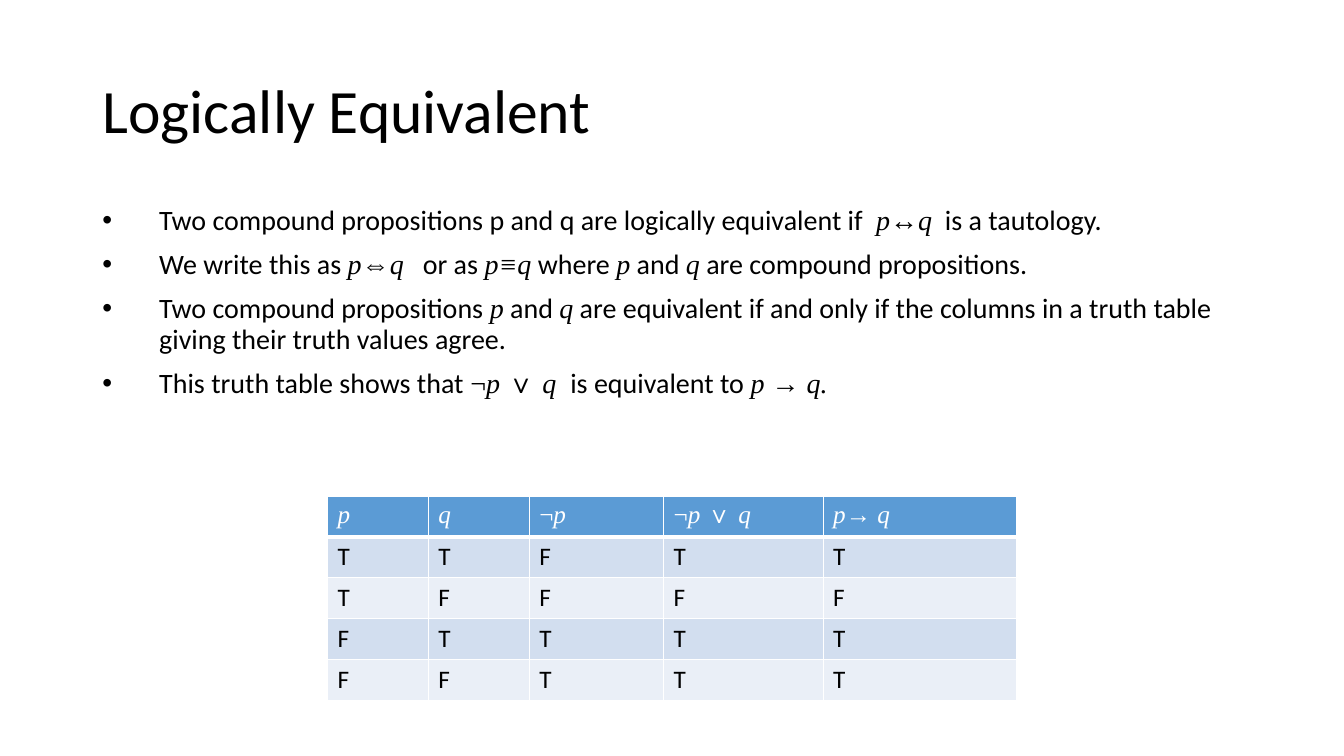
from lxml import etree
from pptx import Presentation
from pptx import util as u
from pptx.dml import color
from pptx.enum import text
from pptx.oxml import ns

PLAIN = ("Calibri", False)
SYMBOL = ("Times New Roman", False)
VARIABLE = ("Times New Roman", True)


def paint(target, hex_color):
    if hasattr(target, "solid"):
        target.solid()
        target = target.fore_color
    target.rgb = color.RGBColor.from_string(hex_color)


def write(paragraph, parts, size, hex_color):
    for words, (face, italic) in parts:
        run = paragraph.add_run()
        run.text = words
        run.font.name = face
        run.font.size = u.Pt(size)
        run.font.italic = italic
        run.font.bold = False
        paint(run.font.color, hex_color)


deck = Presentation()
deck.slide_width, deck.slide_height = u.Pt(960), u.Pt(540)
slide = deck.slides.add_slide(deck.slide_layouts[1])

heading = slide.shapes.title
statements = slide.placeholders[1]
for holder, top, height, anchor in (
    (heading, 28.75, 104.4, text.MSO_ANCHOR.MIDDLE),
    (statements, 143.75, 342.6, text.MSO_ANCHOR.TOP),
):
    holder.left, holder.top = u.Pt(66), u.Pt(top)
    holder.width, holder.height = u.Pt(828), u.Pt(height)
    holder.text_frame.vertical_anchor = anchor
    holder.text_frame.auto_size = text.MSO_AUTO_SIZE.NONE
    holder.text_frame.word_wrap = True

title_line = heading.text_frame.paragraphs[0]
title_line.alignment = text.PP_ALIGN.LEFT
title_line.line_spacing = 0.9
write(title_line, [("Logically Equivalent", PLAIN)], 44, "000000")

points = [
    [("Two compound propositions p and q are logically equivalent if  ", PLAIN),
     ("p↔q", VARIABLE), ("  is a tautology.", PLAIN)],
    [("We write this as ", PLAIN), ("p⇔q", VARIABLE), ("   or as ", PLAIN),
     ("p≡q", VARIABLE), (" where ", PLAIN), ("p", VARIABLE), (" and ", PLAIN),
     ("q", VARIABLE), (" are compound propositions.", PLAIN)],
    [("Two compound propositions ", PLAIN), ("p", VARIABLE), (" and ", PLAIN),
     ("q", VARIABLE),
     (" are equivalent if and only if the columns in a truth table "
      "giving their truth values agree.", PLAIN)],
    [("This truth table shows that ", PLAIN), ("¬", SYMBOL), ("p ", VARIABLE),
     ("∨ ", SYMBOL), ("q  ", VARIABLE), ("is equivalent to ", PLAIN),
     ("p → q.", VARIABLE)],
]
for index, point in enumerate(points):
    frame = statements.text_frame
    line = frame.add_paragraph() if index else frame.paragraphs[0]
    properties = line._p.get_or_add_pPr()
    properties.set("marL", str(u.Pt(40.5)))
    properties.set("indent", str(u.Pt(-40.5)))
    bullet = etree.SubElement(properties, ns.qn("a:buChar"))
    bullet.set("char", "•")
    line.alignment = text.PP_ALIGN.LEFT
    line.line_spacing = 0.9
    line.space_before = u.Pt(10 if index else 0)
    write(line, point, 20, "000000")

formulas = [
    [("p", VARIABLE)],
    [("q", VARIABLE)],
    [("¬", SYMBOL), ("p", VARIABLE)],
    [("¬", SYMBOL), ("p ", VARIABLE), ("∨ ", SYMBOL), ("q", VARIABLE)],
    [("p→ q", VARIABLE)],
]
truth_values = ["TTFTT", "TFFFF", "FTTTT", "FFTTT"]
rows = [formulas] + [[[(value, PLAIN)] for value in values] for values in truth_values]
widths = [72, 72, 96, 114, 138]
truth_table = slide.shapes.add_table(
    len(rows), len(widths), u.Pt(234), u.Pt(354.25), u.Pt(sum(widths)), u.Pt(146)
).table
for column, width in zip(truth_table.columns, widths):
    column.width = u.Pt(width)

for r, row in enumerate(rows):
    truth_table.rows[r].height = u.Pt(29.2)
    fill = ("D2DEEF" if r % 2 else "EAEFF7") if r else "5B9BD5"
    for c, parts in enumerate(row):
        cell = truth_table.cell(r, c)
        write(cell.text_frame.paragraphs[0], parts, 18, "000000" if r else "FFFFFF")
        borders = cell._tc.get_or_add_tcPr()
        for side in "LRTB":
            edge = etree.SubElement(borders, ns.qn(f"a:ln{side}"))
            edge.set("w", str(u.Pt(3 if r == 0 and side == "B" else 1)))
            ink = etree.SubElement(edge, ns.qn("a:solidFill"))
            etree.SubElement(ink, ns.qn("a:srgbClr")).set("val", "FFFFFF")
        paint(cell.fill, fill)

deck.save("out.pptx")
